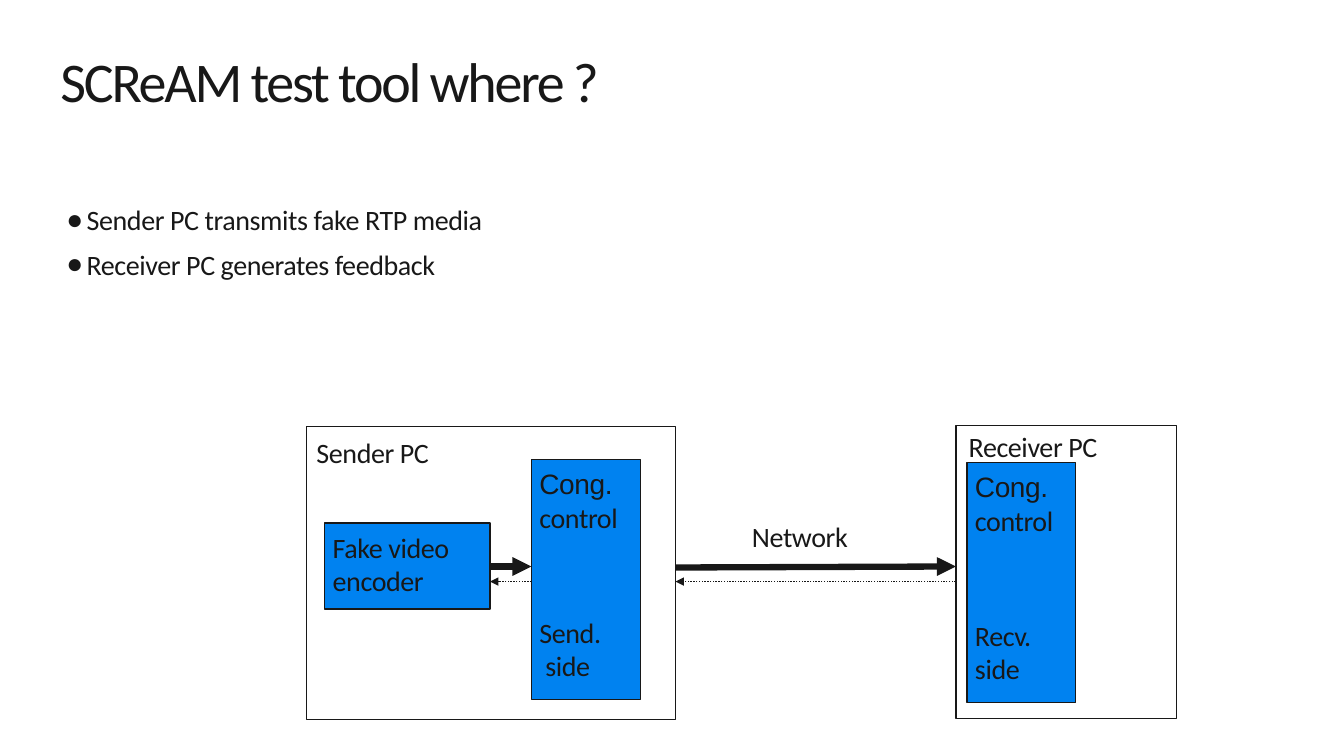
from dataclasses import dataclass

from lxml import etree
from pptx import Presentation
from pptx import util as u
from pptx.dml.color import RGBColor
from pptx.enum import dml, shapes, text
from pptx.oxml.ns import qn


@dataclass(frozen=True)
class Theme:
    """Colours, fonts and type sizes of the slide."""
    ink: RGBColor = RGBColor(0x18, 0x18, 0x18)
    blue: RGBColor = RGBColor(0x00, 0x82, 0xF0)
    font: str = "Calibri"
    alt: str = "Arial"
    head: int = 40
    body: int = 20
    thin: int = 1
    thick: float = 4.5


THEME = Theme()
SCALE = 9144


def px(*sizes):
    """Turn lengths in px into EMU."""
    return [size * SCALE for size in sizes]


def add_run(para, words, size=THEME.body, font=THEME.font, track=-30):
    """Add one styled run to a paragraph."""
    run = para.add_run()
    run.text = words
    run.font.size = u.Pt(size)
    run.font.name = font
    run.font.color.rgb = THEME.ink
    run._r.get_or_add_rPr().set("spc", str(track))


def set_frame(frame, side, top, wrap=True):
    """Set insets, wrap and top anchor, and give the first paragraph."""
    frame.margin_left, frame.margin_right = px(side, side)
    frame.margin_top, frame.margin_bottom = px(top, top)
    frame.word_wrap = wrap
    frame.auto_size = text.MSO_AUTO_SIZE.NONE
    frame.vertical_anchor = text.MSO_ANCHOR.TOP
    para = frame.paragraphs[0]
    para.alignment = text.PP_ALIGN.LEFT
    return para


def add_title(slide, box, words):
    """Place and format the title."""
    title = slide.shapes.title
    title.left, title.top, title.width, title.height = px(*box)
    para = set_frame(title.text_frame, 8, 4)
    para.line_spacing = 0.85
    add_run(para, words, THEME.head, track=-160)


def add_list(slide, box, items):
    """Add a bulleted list."""
    frame = slide.shapes.add_textbox(*px(*box)).text_frame
    para = set_frame(frame, 8, 4)
    for i, item in enumerate(items):
        if i:
            para = frame.add_paragraph()
        para.space_before = u.Pt(8)
        props = para._p.get_or_add_pPr()
        indent, = px(20)
        props.set("marL", str(indent))
        props.set("indent", str(-indent))
        etree.SubElement(props, qn("a:buFont"), typeface=THEME.alt)
        etree.SubElement(props, qn("a:buChar"), char="●")
        add_run(para, item)


def add_label(slide, box, words, wrap=True):
    """Add a plain caption."""
    frame = slide.shapes.add_textbox(*px(*box)).text_frame
    add_run(set_frame(frame, 10, 5, wrap), words)


def add_box(slide, box, fill=None):
    """Add an outlined rectangle."""
    rect = slide.shapes.add_shape(shapes.MSO_SHAPE.RECTANGLE, *px(*box))
    rect.shadow.inherit = False
    rect.line.color.rgb = THEME.ink
    rect.line.width = u.Pt(THEME.thin)
    if fill is None:
        rect.fill.background()
    else:
        rect.fill.solid()
        rect.fill.fore_color.rgb = fill
    return rect


def add_block(slide, box, groups):
    """Add a blue block with groups of (words, font) lines."""
    frame = add_box(slide, box, THEME.blue).text_frame
    para = set_frame(frame, 8, 7, False)
    for i, group in enumerate(groups):
        if i:
            para = frame.add_paragraph()
            para.alignment = text.PP_ALIGN.LEFT
            para.space_before = u.Pt(58)
        for j, (words, font) in enumerate(group):
            if j:
                para.add_line_break()
            add_run(para, words, font=font)


def add_arrow(slide, ends, width, dash=None):
    """Add a line with a triangle at its end."""
    line = slide.shapes.add_connector(shapes.MSO_CONNECTOR.STRAIGHT, *px(*ends))
    line.line.color.rgb = THEME.ink
    line.line.width = u.Pt(width)
    if dash is not None:
        line.line.dash_style = dash
    etree.SubElement(line.line._get_or_add_ln(), qn("a:tailEnd"), type="triangle")
    etree.SubElement(line._element.spPr, qn("a:effectLst"))


def add_link(slide, left, right, top, rise=0):
    """Add a thick media arrow and the dotted feedback under it."""
    add_arrow(slide, (left, top + rise, right, top), THEME.thick)
    add_arrow(slide, (right, top + 15, left, top + 15), THEME.thin,
              dml.MSO_LINE.ROUND_DOT)


def add_control(slide, left, top, lines):
    """Add a congestion control block."""
    add_block(slide, (left, top, 108, 238), [
        [("Cong.", THEME.alt), ("control", THEME.font)],
        [(line, THEME.font) for line in lines]])


def add_sender(slide, x, y):
    """Add the sender PC with its encoder and control."""
    add_box(slide, (x, y, 366, 291))
    add_label(slide, (x, y + 4, 158, 44), "Sender PC")
    add_control(slide, x + 223, y + 33, ["Send.", " side"])
    add_block(slide, (x + 18, y + 96, 164, 85),
              [[("Fake video", THEME.font), ("encoder", THEME.font)]])
    add_link(slide, x + 182, x + 223, y + 139)


def add_receiver(slide, x, y):
    """Add the receiver PC with its control."""
    add_box(slide, (x, y, 219, 291))
    add_label(slide, (x + 3, y - 1, 200, 44), "Receiver PC")
    add_control(slide, x + 11, y + 37, ["Recv.", "side"])


def add_network(slide, left, right, top):
    """Add the network link between the PCs."""
    add_link(slide, left, right, top, 1)
    add_label(slide, (left + 66, top - 52, 123, 44), "Network", False)


def main():
    """Build and save the slide."""
    deck = Presentation()
    deck.slide_width, deck.slide_height = px(1333, 750)
    slide = deck.slides.add_slide(deck.slide_layouts[5])
    add_title(slide, (52, 52, 914, 118), "SCReAM test tool where ?")
    add_list(slide, (58, 197, 753, 137),
             ["Sender PC transmits fake RTP media", "Receiver PC generates feedback"])
    add_sender(slide, 304, 423)
    add_receiver(slide, 948, 422)
    add_network(slide, 670, 948, 562)
    deck.save("out.pptx")


if __name__ == "__main__":
    main()
